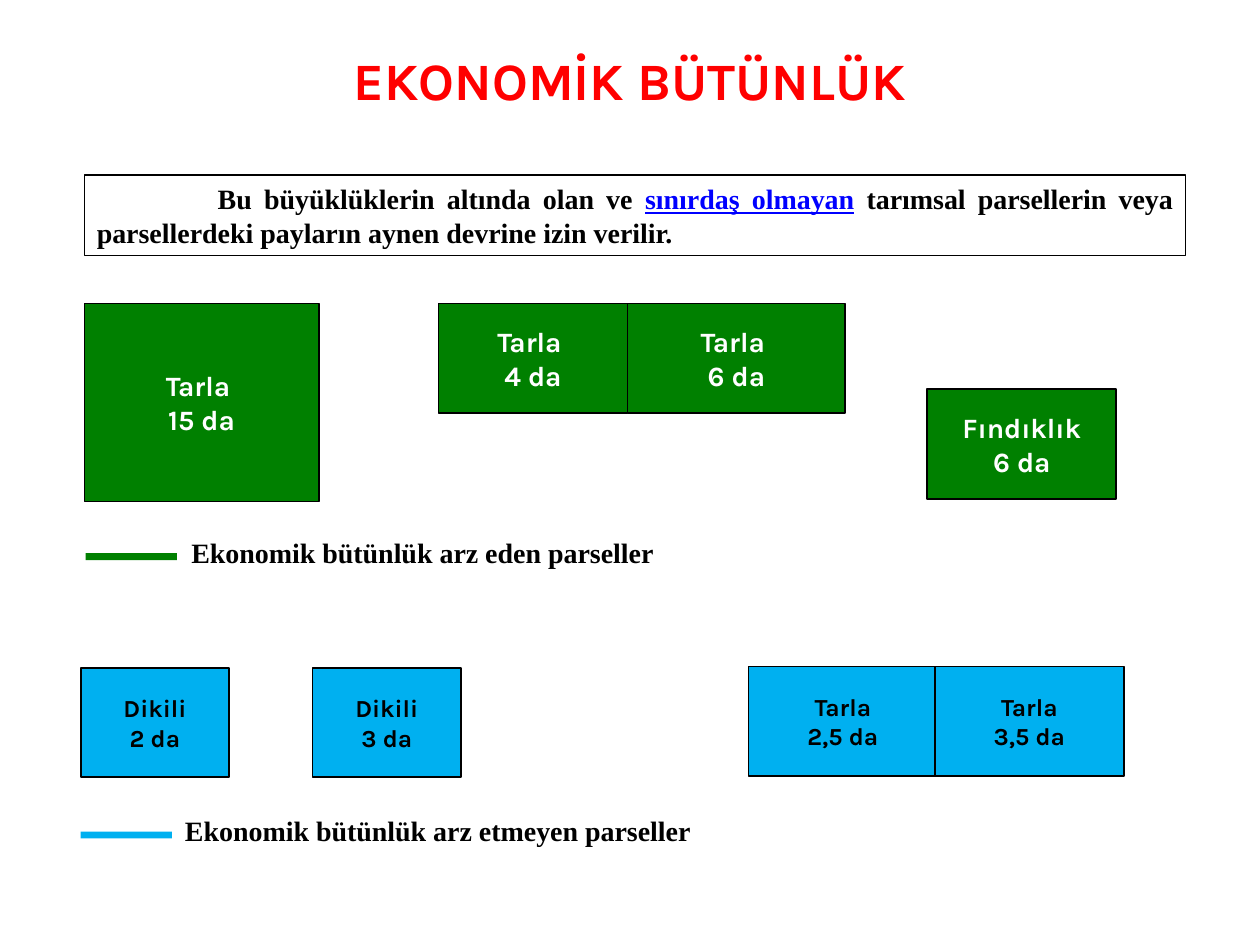
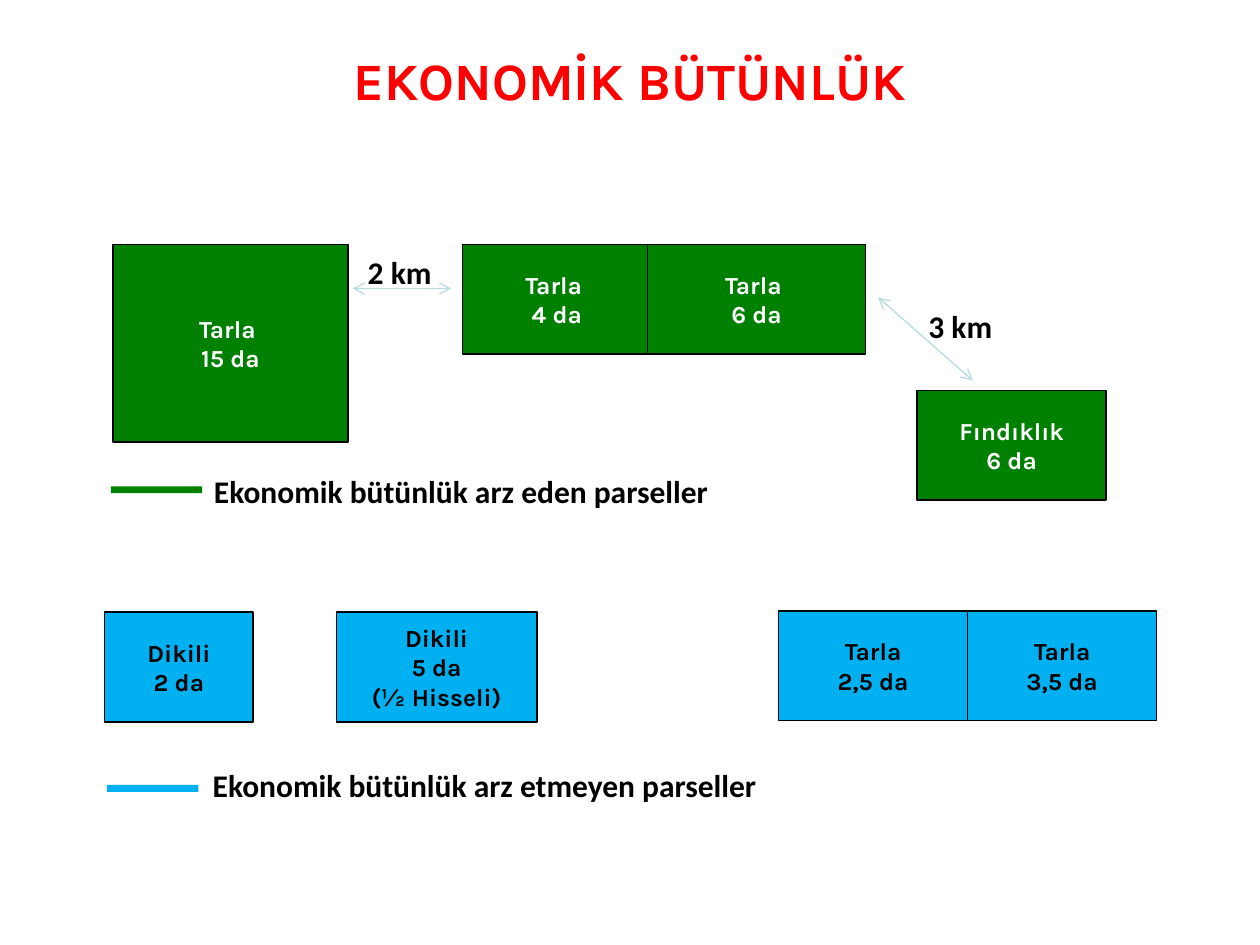
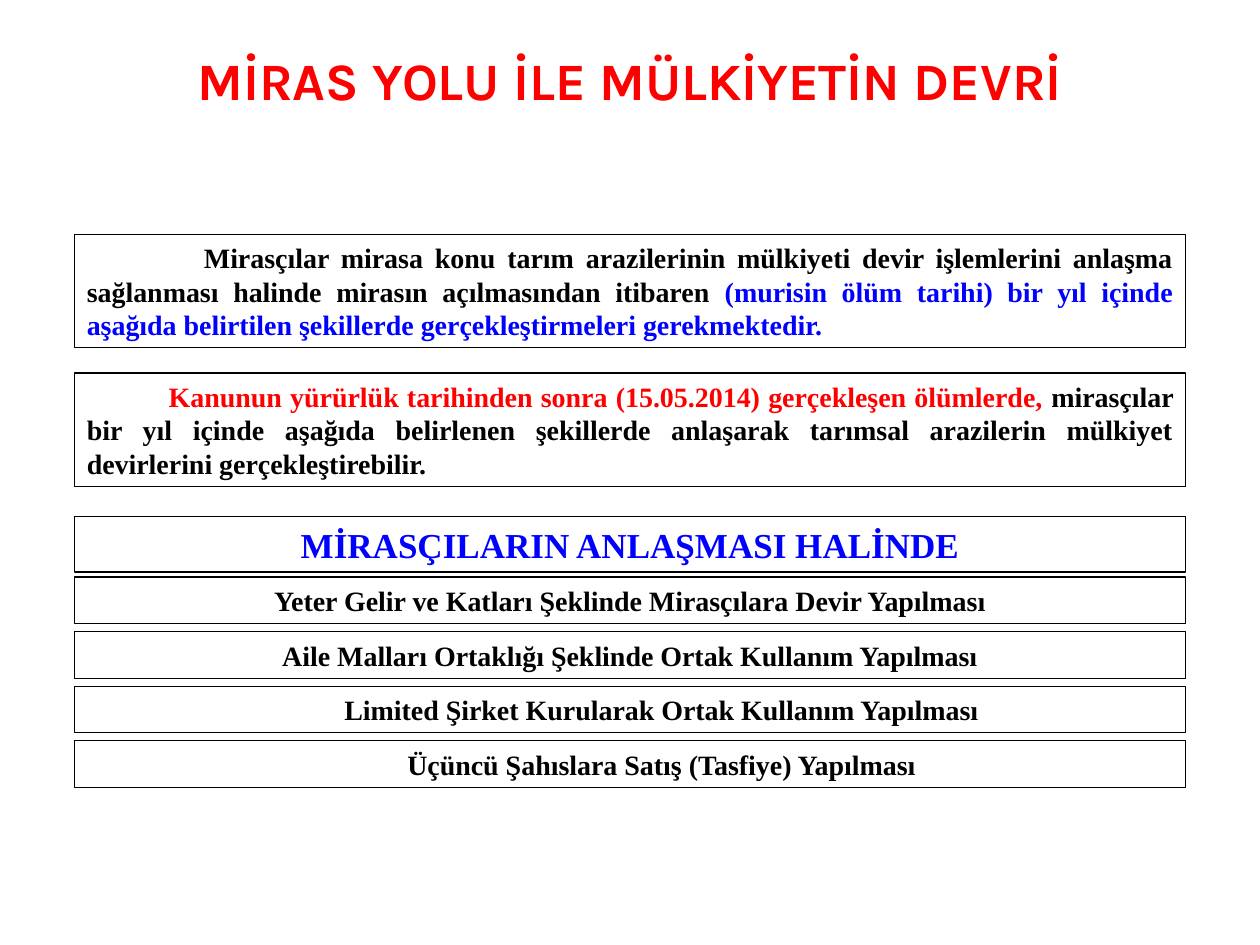
from pptx import Presentation
from pptx.dml.color import RGBColor
from pptx.enum.shapes import MSO_CONNECTOR, MSO_SHAPE
from pptx.enum.text import MSO_ANCHOR, PP_ALIGN
from pptx.oxml.ns import qn
from pptx.util import Inches, Pt
from lxml.etree import SubElement

COLORS = {
    "title": "FF0000",
    "text": "000000",
    "emphasis": "0000FF",
    "warning": "FF0000",
    "white": "FFFFFF",
    "whole": "008000",
    "split": "00B0F0",
    "arrow": "B6DCDF",
}
SERIF, SANS, HEADING = "Times New Roman", "Calibri", "Karla"

presentation = Presentation()
presentation.slide_width = Inches(10)
presentation.slide_height = Inches(7.5)
COLUMN = presentation.slide_width // 100
ROW = presentation.slide_height // 75


def color(name):
    return RGBColor.from_string(COLORS[name])


def add_box(slide, place, lines, font=SERIF, size=16, ink="text", fill=None,
            border=None, align=PP_ALIGN.CENTER, anchor=MSO_ANCHOR.MIDDLE):
    """Add a rectangle; place is left, top, width, height in columns and rows."""
    left, top, width, height = place
    shape = slide.shapes.add_shape(
        MSO_SHAPE.RECTANGLE, int(left * COLUMN), int(top * ROW),
        int(width * COLUMN), int(height * ROW))
    shape.shadow.inherit = False
    if fill:
        shape.fill.solid()
        shape.fill.fore_color.rgb = color(fill)
    else:
        shape.fill.background()
    if border:
        shape.line.color.rgb = color("text")
        shape.line.width = Pt(border)
    else:
        shape.line.fill.background()
    frame = shape.text_frame
    frame.word_wrap = True
    frame.vertical_anchor = anchor
    for index, line in enumerate(lines):
        paragraph = frame.add_paragraph() if index else frame.paragraphs[0]
        paragraph.alignment = align
        paragraph.font.name = font
        paragraph.font.size = Pt(size)
        paragraph.font.bold = True
        paragraph.font.color.rgb = color(ink)
        if line:
            paragraph.add_run().text = line
    return shape


# Slides and titles
slides = []
for title in ["EKONOMİK BÜTÜNLÜK", "EKONOMİK BÜTÜNLÜK", "MİRAS YOLU İLE MÜLKİYETİN DEVRİ"]:
    slide = presentation.slides.add_slide(presentation.slide_layouts[6])
    add_box(slide, (0, 3.6, 100, 5.5), [title], HEADING, 30, "title")
    slides.append(slide)
parcel_slide, distance_slide, inheritance_slide = slides

# Parcels: left, top, width, height, lines
LOW = 8.7
parcels = [
    (parcel_slide, "whole", 16, [
        (6.7, 24.1, 18.6, 15.7, ["Tarla ", "15 da"]),
        (34.8, 24.1, 15, LOW, ["Tarla ", "4 da"]),
        (49.8, 24.1, 17.3, LOW, ["Tarla ", "6 da"]),
        (73.6, 30.9, 15, LOW, ["Fındıklık", "6 da"])]),
    (parcel_slide, "split", 14, [
        (6.4, 53, 11.8, LOW, ["Dikili", "2 da"]),
        (24.8, 53, 11.8, LOW, ["Dikili", "3 da"]),
        (59.4, 52.9, 15, LOW, ["Tarla", "2,5 da"]),
        (74.2, 52.9, 15, LOW, ["Tarla", "3,5 da"])]),
    (distance_slide, "whole", 14, [
        (9, 19.4, 18.6, 15.7, ["Tarla ", "15 da"]),
        (36.7, 19.4, 15, LOW, ["Tarla ", "4 da"]),
        (51.4, 19.4, 17.3, LOW, ["Tarla ", "6 da"]),
        (72.8, 31, 15, LOW, ["Fındıklık", "6 da"])]),
    (distance_slide, "split", 14, [
        (8.3, 48.6, 11.8, LOW, ["Dikili", "2 da"]),
        (26.7, 48.6, 15.9, LOW, ["Dikili", "5 da", "(½ Hisseli)"]),
        (61.8, 48.5, 15, LOW, ["Tarla", "2,5 da"]),
        (76.8, 48.5, 15, LOW, ["Tarla", "3,5 da"])]),
]
for slide, kind, size, boxes in parcels:
    ink = "white" if kind == "whole" else "text"
    for *place, lines in boxes:
        add_box(slide, place, lines, HEADING, size, ink, kind, border=1)

# Legends: a colour bar and its caption
captions = {
    "whole": "Ekonomik bütünlük arz eden parseller",
    "split": "Ekonomik bütünlük arz etmeyen parseller",
}
legends = [
    (parcel_slide, "whole", (6.8, 43.9), (14.2, 42), SERIF, 16),
    (parcel_slide, "split", (6.4, 66), (13.7, 64.1), SERIF, 16),
    (distance_slide, "whole", (8.8, 38.6), (16, 37), SANS, 18),
    (distance_slide, "split", (8.5, 62.3), (15.9, 60.3), SANS, 18),
]
for slide, kind, bar, caption, font, size in legends:
    add_box(slide, (*bar, 7.25, 0.55), [], fill=kind)
    add_box(slide, (*caption, 55, 4), [captions[kind]], font, size,
            align=PP_ALIGN.LEFT, anchor=MSO_ANCHOR.TOP)

# Distances between parcels
distances = [
    ("2 km", (28.2, 19.6, 7.9, 4), (28, 22.9), (35.8, 22.9)),
    ("3 km", (72.7, 23.9, 9.4, 4), (69.7, 23.6), (77.2, 30.2)),
]
for label, place, start, end in distances:
    arrow = distance_slide.shapes.add_connector(
        MSO_CONNECTOR.STRAIGHT, int(start[0] * COLUMN), int(start[1] * ROW),
        int(end[0] * COLUMN), int(end[1] * ROW))
    arrow.line.color.rgb = color("arrow")
    arrow.line.width = Pt(0.75)
    for tip in ("a:headEnd", "a:tailEnd"):
        SubElement(arrow.line._get_or_add_ln(), qn(tip), type="arrow")
    SubElement(arrow._element.spPr, qn("a:effectLst"))
    add_box(distance_slide, place, [label], SANS, 18,
            align=PP_ALIGN.LEFT, anchor=MSO_ANCHOR.TOP)

# Framed notes: place, first-line indent in columns, runs with their colours
notes = [
    (parcel_slide, (6.7, 13.9, 87.4, 6.4), 9.6, [
        ("Bu büyüklüklerin altında olan ve ", "text"),
        ("sınırdaş olmayan", "emphasis"),
        (" tarımsal parsellerin veya parsellerdeki payların aynen devrine izin verilir.", "text")]),
    (inheritance_slide, (5.9, 18.6, 88.2, 9), 9.3, [
        ("Mirasçılar mirasa konu tarım arazilerinin mülkiyeti devir işlemlerini anlaşma "
         "sağlanması halinde mirasın açılmasından itibaren ", "text"),
        ("(murisin ölüm tarihi) bir yıl içinde aşağıda belirtilen şekillerde "
         "gerçekleştirmeleri gerekmektedir.", "emphasis")]),
    (inheritance_slide, (5.9, 29.6, 88.2, 9), 6.5, [
        ("Kanunun yürürlük tarihinden sonra (15.05.2014) gerçekleşen ölümlerde,", "warning"),
        (" mirasçılar bir yıl içinde aşağıda belirlenen şekillerde anlaşarak tarımsal "
         "arazilerin mülkiyet devirlerini gerçekleştirebilir.", "text")]),
]
for slide, place, indent, runs in notes:
    note = add_box(slide, place, [""], border=0.75, align=PP_ALIGN.JUSTIFY)
    paragraph = note.text_frame.paragraphs[0]
    paragraph._p.get_or_add_pPr().set("indent", str(int(indent * COLUMN)))
    for text, ink in runs:
        run = paragraph.add_run()
        run.text = text
        run.font.color.rgb = color(ink)
        if text == "sınırdaş olmayan":
            run.font.underline = True

# Options open to heirs who agree
add_box(inheritance_slide, (5.9, 41, 88.2, 4.4), ["MİRASÇILARIN ANLAŞMASI HALİNDE"],
        size=20, ink="emphasis", border=0.75)
options = [
    ("Yeter Gelir ve Katları Şeklinde Mirasçılara Devir Yapılması", 0),
    ("Aile Malları Ortaklığı Şeklinde Ortak Kullanım Yapılması", 0),
    ("Limited Şirket Kurularak Ortak Kullanım Yapılması", 5),
    ("Üçüncü Şahıslara Satış (Tasfiye) Yapılması", 5),
]
for index, (option, margin) in enumerate(options):
    box = add_box(inheritance_slide, (5.9, 45.8 + 4.33 * index, 88.2, 3.7), [option], border=0.75)
    box.text_frame.paragraphs[0]._p.get_or_add_pPr().set("marL", str(margin * COLUMN))

presentation.save("out.pptx")
